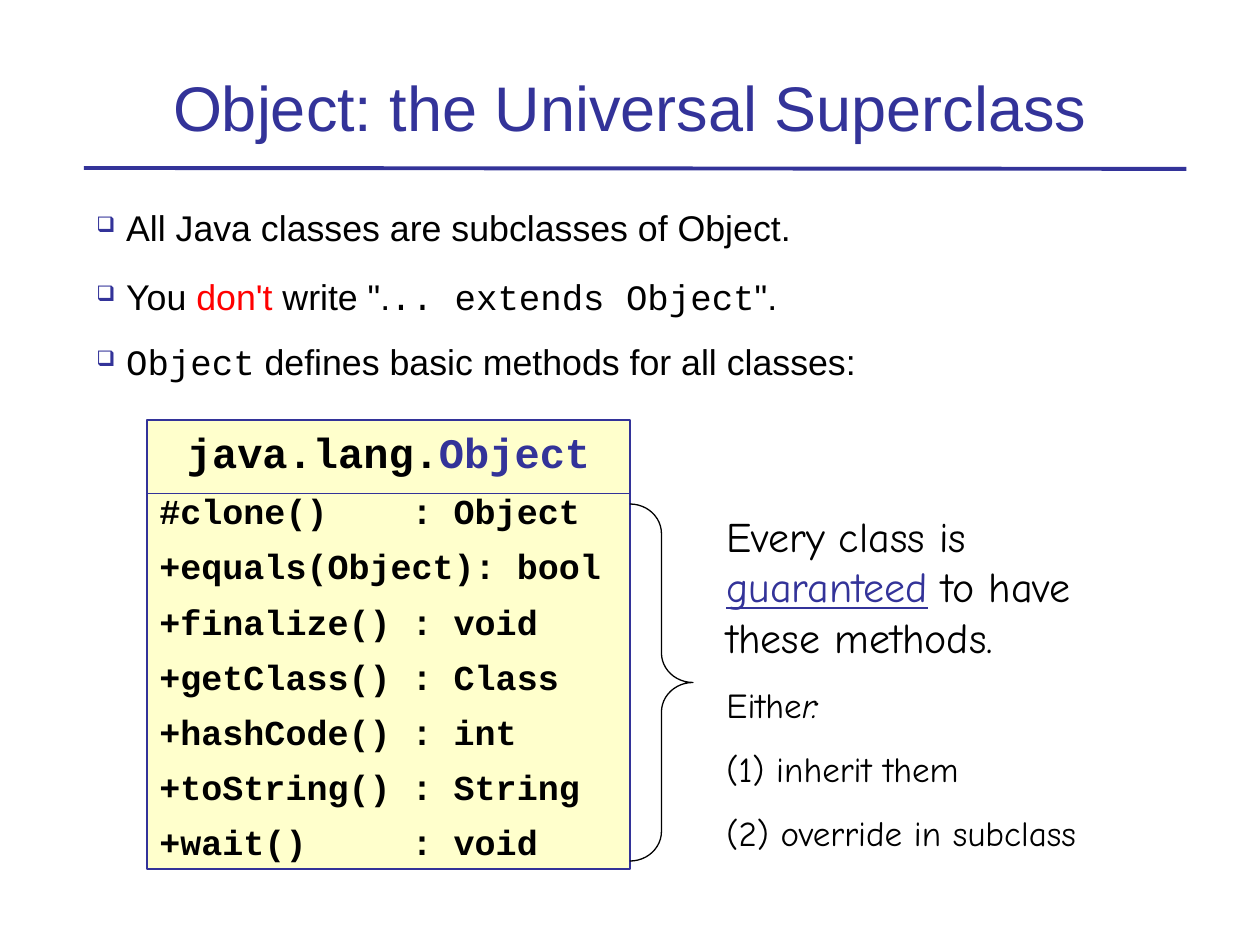
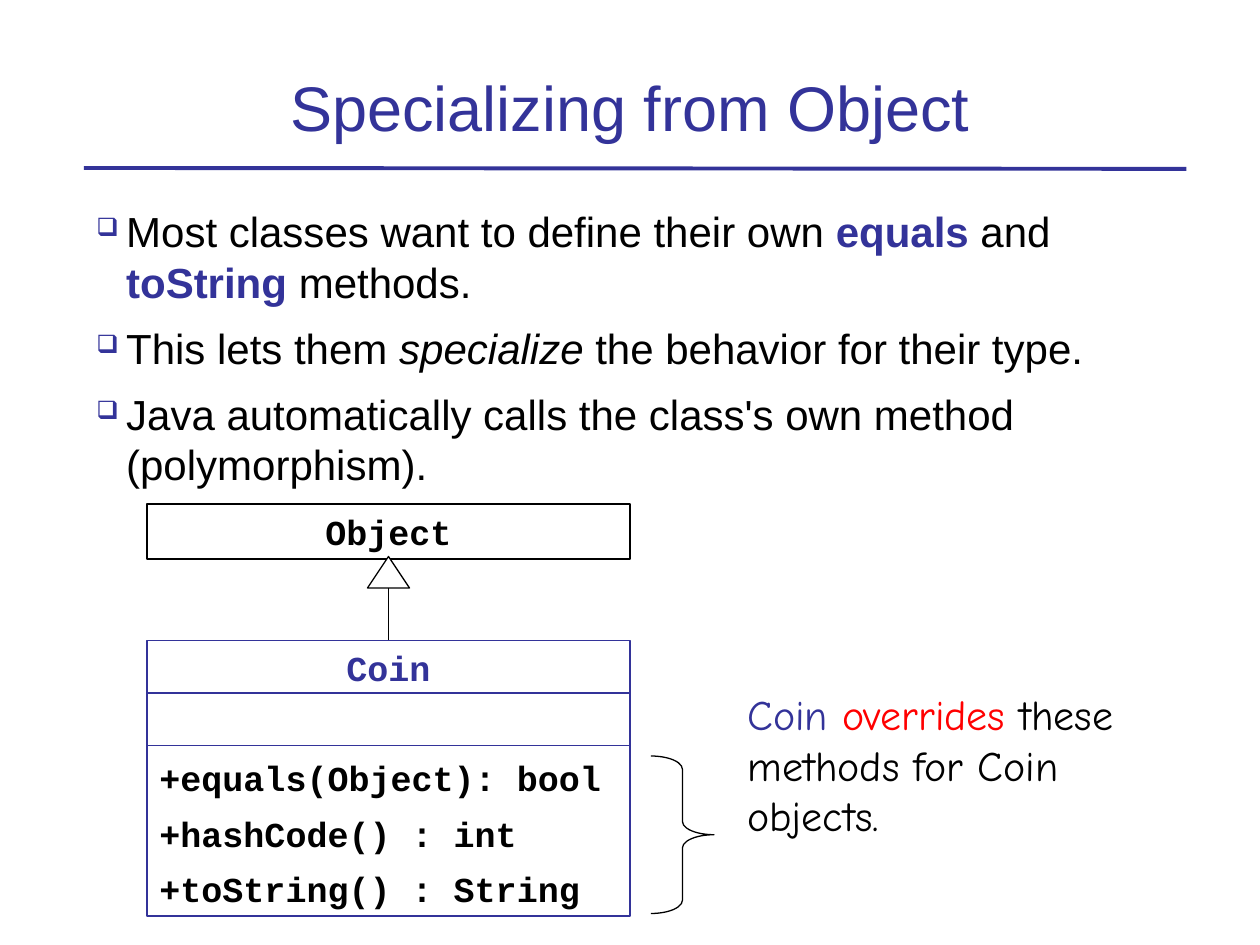
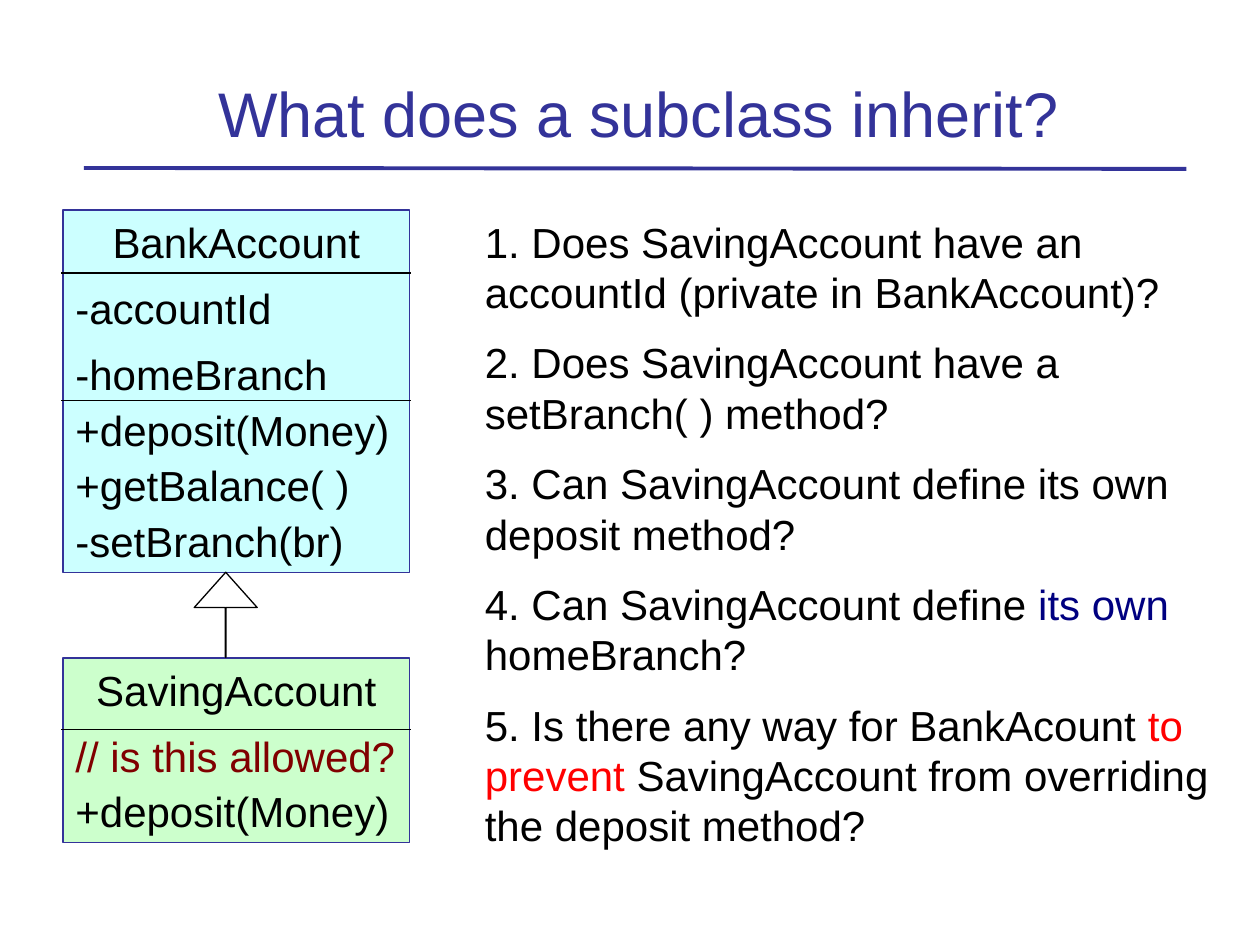
import pptx
import pptx.util
import pptx.dml.color
import pptx.enum.shapes
import pptx.enum.text
import pptx.oxml.ns
import lxml.etree

Pt = pptx.util.Pt
RGB = pptx.dml.color.RGBColor
Kind = pptx.enum.shapes.MSO_SHAPE
Anchor = pptx.enum.text.MSO_ANCHOR
Align = pptx.enum.text.PP_ALIGN
qn = pptx.oxml.ns.qn

BLUE = RGB(0x33, 0x33, 0x99)
NAVY = RGB(0x00, 0x00, 0x80)
BLACK = RGB(0x00, 0x00, 0x00)
WHITE = RGB(0xFF, 0xFF, 0xFF)
RED = RGB(0xFF, 0x00, 0x00)
MAROON = RGB(0x80, 0x00, 0x00)
CREAM = RGB(0xFF, 0xFF, 0xCC)
AQUA = RGB(0xCC, 0xFF, 0xFF)
GREEN = RGB(0xCC, 0xFF, 0xCC)

SANS = "Arial"
MONO = "Courier New"
HAND = "Comic Neue"
LEADING = 1.2


class Deck:
    def __init__(self):
        self.file = pptx.Presentation()
        self.file.slide_width = Pt(720)
        self.file.slide_height = Pt(540)
        self.slide = None

    def start(self, title, left=48, top=18, width=624):
        self.slide = self.file.slides.add_slide(self.file.slide_layouts[5])
        head = self.slide.shapes.title
        self.place(head, left, top, width, 68)
        self.prep(head.text_frame, Anchor.BOTTOM)
        self.para(head.text_frame.paragraphs[0], [title], 36, SANS, BLUE, align=Align.CENTER)
        self.line(48, 96, 678, 96.5, BLUE, 2.25)

    def place(self, shape, left, top, width, height):
        shape.left, shape.top = Pt(left), Pt(top)
        shape.width, shape.height = Pt(width), Pt(height)

    def prep(self, frame, anchor=Anchor.TOP):
        frame.word_wrap = True
        frame.auto_size = pptx.enum.text.MSO_AUTO_SIZE.NONE
        frame.vertical_anchor = anchor
        frame.margin_left = frame.margin_right = Pt(7.2)
        frame.margin_top = frame.margin_bottom = Pt(3.6)

    def para(self, para, runs, size, face, ink=BLACK, before=0, align=Align.LEFT,
             bullet=False, scale=1):
        if bullet:
            self.bullet(para)
        para.alignment = align
        para.line_spacing = Pt(round(size * LEADING * scale, 1))
        para.space_before = Pt(before)
        for item in runs:
            text, look = (item, {}) if isinstance(item, str) else item
            run = para.add_run()
            run.text = text
            font = run.font
            font.size = Pt(size)
            font.name = look.get("face", face)
            font.color.rgb = look.get("ink", ink)
            font.bold = look.get("bold", face == MONO)
            font.italic = look.get("slant", False)
            font.underline = look.get("under", False)

    def bullet(self, para):
        props = para._p.get_or_add_pPr()
        props.set("marL", str(Pt(17)))
        props.set("indent", str(-Pt(17)))
        tint = lxml.etree.SubElement(props, qn("a:buClr"))
        lxml.etree.SubElement(tint, qn("a:srgbClr")).set("val", str(BLUE))
        lxml.etree.SubElement(props, qn("a:buSzPct")).set("val", "60000")
        lxml.etree.SubElement(props, qn("a:buChar")).set("char", "❑")

    def fill(self, frame, paras, size, face, gap=0, bullet=False):
        self.prep(frame)
        for index, item in enumerate(paras):
            runs, extra = item if isinstance(item, tuple) else (item, {})
            para = frame.add_paragraph() if index else frame.paragraphs[0]
            style = {"size": size, "face": face, "before": gap if index else 0,
                     "bullet": bullet, **extra}
            self.para(para, runs, **style)

    def text(self, left, top, width, height, paras, size, face, gap=0, bullet=False):
        box = self.slide.shapes.add_textbox(Pt(left), Pt(top), Pt(width), Pt(height))
        self.fill(box.text_frame, paras, size, face, gap, bullet)

    def shape(self, kind, left, top, width, height, fill=None, ink=BLACK, weight=0.75, adjust=()):
        shape = self.slide.shapes.add_shape(kind, Pt(left), Pt(top), Pt(width), Pt(height))
        shape.shadow.inherit = False
        if fill is None:
            shape.fill.background()
        else:
            shape.fill.solid()
            shape.fill.fore_color.rgb = fill
        shape.line.color.rgb = ink
        shape.line.width = Pt(weight)
        for index, value in enumerate(adjust):
            shape.adjustments[index] = value
        return shape

    def box(self, left, top, width, height, paras, size, face, gap, fill=None, ink=BLUE, weight=0.75):
        shape = self.shape(Kind.RECTANGLE, left, top, width, height, fill, ink, weight)
        self.fill(shape.text_frame, paras, size, face, gap)
        return shape

    def brace(self, left, top, height, curve):
        self.shape(Kind.RIGHT_BRACE, left, top, 36, height, adjust=(curve, 0.5))

    def line(self, x1, y1, x2, y2, ink=BLACK, weight=0.75):
        line = self.slide.shapes.add_connector(
            pptx.enum.shapes.MSO_CONNECTOR.STRAIGHT, Pt(x1), Pt(y1), Pt(x2), Pt(y2))
        line.line.color.rgb = ink
        line.line.width = Pt(weight)
        lxml.etree.SubElement(line._element.spPr, qn("a:effectLst"))
        return line


MID = {"align": Align.CENTER}
CODE = {"face": MONO}
KEY = {"ink": BLUE, "bold": True}


def root(deck):
    deck.start("Object: the Universal Superclass")
    deck.text(48, 114, 624, 108, [
        ["All Java classes are subclasses of Object."],
        ["You ", ("don't", {"ink": RED}), " write \".", (".. extends Object", CODE), "\"."],
        ([("Object", CODE), " defines basic methods for all classes:"], {"scale": 0.9}),
    ], 20.4, SANS, 15, True)
    calls = ["#clone()    : Object", "+equals(Object): bool", "+finalize() : void",
             "+getClass() : Class", "+hashCode() : int", "+toString() : String",
             "+wait()     : void"]
    name = (["java.lang.", ("Object", KEY)], {"size": 24, **MID})
    deck.box(84, 240, 276, 256.5, [name] + [[call] for call in calls],
             20, MONO, 7.5, CREAM, weight=1)
    deck.line(84, 282, 360, 282, BLUE, 1)
    deck.brace(360, 288, 204, 0.47)
    small = {"size": 20, "before": 12.5}
    deck.text(408, 288, 270, 203, [
        ["Every class is ", ("guaranteed", {"ink": BLUE, "under": True}),
         " to have these methods."],
        (["Eithe", ("r:", {"slant": True})], small),
        (["(1) inherit them"], small),
        (["(2) override in subclass"], small),
    ], 24, HAND)


def coin(deck):
    deck.start("Specializing from Object")
    deck.text(48, 114, 624, 174, [
        ["Most classes want to define their own ", ("equals", KEY), " and ",
         ("toString", KEY), " methods."],
        ["This lets them ", ("specialize", {"slant": True}), " the behavior for their type."],
        ["Java automatically calls the class's own method (polymorphism)."],
    ], 24, SANS, 9, True)
    child = deck.box(84, 366, 276, 157.5, [
        (["Coin"], {"ink": BLUE, **MID}),
        (["+equals(Object): bool"], {"before": 39}),
        ["+hashCode() : int"],
        ["+toString() : String"],
    ], 20, MONO, 7.5, weight=1)
    for y in (396, 426):
        deck.line(84, y, 360, y, BLUE, 1)
    deck.brace(372, 432, 90, 0.21)
    deck.text(420, 390, 270, 94, [
        [("Coin ", {"ink": BLUE}), ("overrides", {"ink": RED}),
         " these methods for Coin objects."],
    ], 24, HAND)
    deck.box(84, 288, 276, 31.5, [(["Object"], MID)], 20, MONO, 0, ink=BLACK)
    deck.shape(Kind.ISOSCELES_TRIANGLE, 210, 300 + 18, 24, 18, WHITE)
    deck.line(222, 336, 222, 366).end_connect(child, 0)


def bank(deck):
    deck.start("What does a subclass inherit?", 57.5, 21.5, 615)
    deck.text(270, 120, 432, 369, [
        ["1. Does SavingAccount have an accountId (private in BankAccount)?"],
        ["2. Does SavingAccount have a setBranch( ) method?"],
        ["3. Can SavingAccount define its own deposit method?"],
        ["4. Can SavingAccount define ", ("its own", {"ink": NAVY}), " homeBranch?"],
        ["5. Is there any way for BankAcount ", ("to prevent", {"ink": RED}),
         " SavingAccount from overriding the deposit method?"],
    ], 24, SANS, 11.4)
    wide = {"before": 9}
    deck.box(36, 120, 198, 207, [
        (["BankAccount"], MID), (["-accountId"], wide), (["-homeBranch"], wide),
        ["+deposit(Money)"], ["+getBalance( )"], ["-setBranch(br)"],
    ], 24, SANS, 3, AQUA)
    deck.box(36, 376, 198, 105.5, [
        (["SavingAccount"], MID),
        (["// is this allowed?"], {"ink": MAROON, **wide}),
        ["+deposit(Money)"],
    ], 24, SANS, 3, GREEN)
    for y in (156, 229, 417):
        deck.line(35, y, 235, y)
    deck.shape(Kind.UP_ARROW, 111, 327, 36, 48.5, adjust=(0.01, 0.56))


def main():
    deck = Deck()
    for draw in (root, coin, bank):
        draw(deck)
    deck.file.save("out.pptx")


if __name__ == "__main__":
    main()
